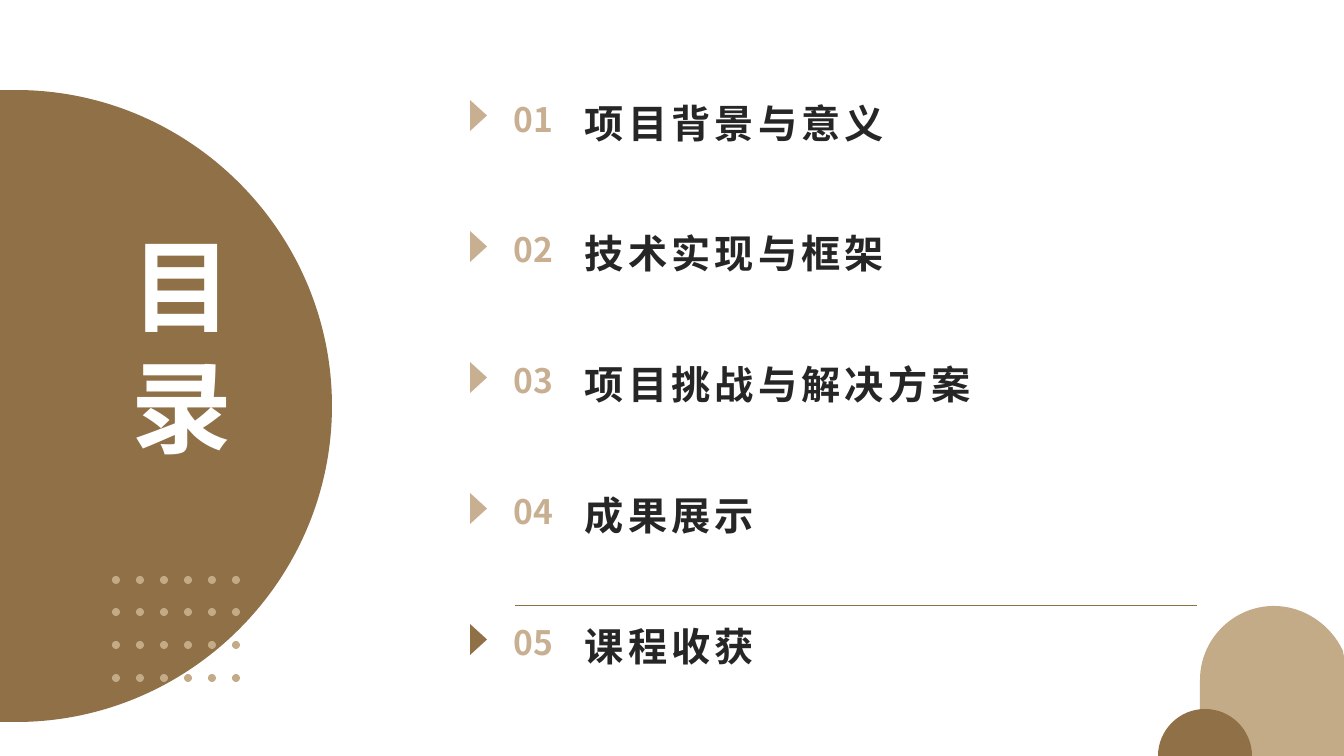
from lxml import etree
from pptx import Presentation
from pptx.dml.color import RGBColor
from pptx.enum.shapes import MSO_CONNECTOR, MSO_SHAPE
from pptx.enum.text import MSO_ANCHOR, PP_ALIGN
from pptx.oxml.ns import qn
from pptx.util import Emu, Pt

OVAL, TRIANGLE = MSO_SHAPE.OVAL, MSO_SHAPE.ISOSCELES_TRIANGLE
STRAIGHT = MSO_CONNECTOR.STRAIGHT
TOP, MIDDLE = MSO_ANCHOR.TOP, MSO_ANCHOR.MIDDLE
LEFT, CENTER, RIGHT = PP_ALIGN.LEFT, PP_ALIGN.CENTER, PP_ALIGN.RIGHT

WIDTH, HEIGHT = 1344, 756
ROUND = 0.55
BROWN, TAN, SAND, RULE = "907046", "C4AB87", "C8AF92", "8F7046"
WHITE, INK = "FFFFFF", "262626"
CJK, LATIN = "Noto Sans CJK SC", "Arial"
TOPICS = ["项目背景与意义", "技术实现与框架", "项目挑战与解决方案", "成果展示", "课程收获"]


def px(n):
    """Convert pixels to EMU."""
    return Emu(round(n * 914400 / 100.8))


def rgb(value):
    """Turn a hex string into a colour."""
    return RGBColor.from_string(value)


def paint(sp, color):
    """Give a shape a flat fill without line or shadow."""
    sp.shadow.inherit = False
    sp.fill.solid()
    sp.fill.fore_color.rgb = rgb(color)
    sp.line.fill.background()


def add_preset(slide, kind, x, y, w, h, color):
    """Add a flat preset shape."""
    sp = slide.shapes.add_shape(kind, px(x), px(y), px(w), px(h))
    paint(sp, color)
    return sp


def quarter(start, corner, end):
    """Return the curve of a quarter circle that rounds off a corner."""
    controls = [tuple(a + (c - a) * ROUND for a, c in zip(tip, corner)) for tip in (start, end)]
    return controls + [end]


def add_outline(slide, start, segments, color):
    """Add a flat closed outline; one point makes a line, three make a curve."""
    builder = slide.shapes.build_freeform(px(start[0]), px(start[1]), scale=1.0)
    builder.add_line_segments([(px(x), px(y)) for seg in segments for x, y in seg])
    sp = builder.convert_to_shape()
    route = sp._element.spPr.find(".//" + qn("a:path"))
    nodes = iter(route.findall(qn("a:lnTo")))
    for seg in segments:
        first, *rest = [next(nodes) for _ in seg]
        if rest:
            first.tag = qn("a:cubicBezTo")
        for node in rest:
            first.append(node[0])
            route.remove(node)
    paint(sp, color)


def add_text(slide, text, x, y, w, h, size, color, font=CJK, align=LEFT,
             anchor=TOP, wrap=True, tracking=0):
    """Add a bold one-paragraph text box without insets."""
    tf = slide.shapes.add_textbox(px(x), px(y), px(w), px(h)).text_frame
    tf.margin_left = tf.margin_top = tf.margin_right = tf.margin_bottom = 0
    tf.word_wrap, tf.vertical_anchor = wrap, anchor
    p = tf.paragraphs[0]
    p.text, p.alignment = text, align
    p.font.size, p.font.bold, p.font.name = Pt(size), True, font
    p.font.color.rgb = rgb(color)
    props = p._p.pPr.find(qn("a:defRPr"))
    props.set("spc", str(tracking))
    etree.SubElement(props, qn("a:ea")).set("typeface", font)


def add_title_panel(slide, x, y, r):
    """Draw the cropped disc with the title and the dot grid."""
    top, right, bottom = (x, y - r), (x + r, y), (x, y + r)
    add_outline(slide, top, [
        quarter(top, (x + r, y - r), right),
        quarter(right, (x + r, y + r), bottom),
        [(0, y + r)], [(0, y - r)], [top]], BROWN)
    for row in range(4):
        for col in range(6):
            add_preset(slide, OVAL, x + 96 + 24 * col, y + 170 + 98 * row // 3, 8, 8, TAN)
    add_text(slide, "目录", x + 76, y - 209, 140, 296, 72, WHITE, LATIN, RIGHT, MIDDLE)


def add_corner(slide, x, y):
    """Draw the arch and the half disc at the bottom right."""
    crown, shoulder = (x + 116, y), (x + 42, y + 74)
    add_outline(slide, crown, [
        [(x + 146, y), (x + 173, y + 19), (x + 185, y + 45)],
        [(WIDTH, y + 51)], [(WIDTH, HEIGHT)], [(x + 42, HEIGHT)], [shoulder],
        quarter(shoulder, (x + 42, y), crown)], TAN)
    left, top, right = (x, HEIGHT), (x + 47, HEIGHT - 47), (x + 94, HEIGHT)
    add_outline(slide, left, [
        quarter(left, (x, HEIGHT - 47), top),
        quarter(top, (x + 94, HEIGHT - 47), right), [left]], BROWN)


def add_rule(slide, x, y, w):
    """Draw the thin horizontal rule."""
    line = slide.shapes.add_connector(STRAIGHT, px(x), px(y), px(x + w), px(y))
    line.line.color.rgb = rgb(RULE)
    line.line.width = Pt(0.5)
    etree.SubElement(line._element.spPr, qn("a:effectLst"))


def add_marker(slide, x, y, color):
    """Place a triangle that points right."""
    sp = add_preset(slide, TRIANGLE, x - 7, y + 7, 31, 17, color)
    sp.rotation = 90


def add_entry(slide, x, y, number, topic):
    """Place the number and the topic of one agenda row."""
    add_text(slide, f"{number:02}", x, y, 73, 108, 24, SAND, align=CENTER, wrap=False)
    add_text(slide, topic, x + 88, y, 464, 108, 28, INK, tracking=300)


def add_agenda(slide, x, y):
    """Stack the agenda rows, the last one with a darker marker."""
    for i, topic in enumerate(TOPICS):
        add_marker(slide, x, y + 1 + 131 * i, BROWN if i == len(TOPICS) - 1 else SAND)
        add_entry(slide, x + 27, y + 523 * i // 4, i + 1, topic)


def main():
    """Build the contents slide."""
    prs = Presentation()
    prs.slide_width, prs.slide_height = px(WIDTH), px(HEIGHT)
    slide = prs.slides.add_slide(prs.slide_layouts[6])
    add_title_panel(slide, 16, 406, 316)
    add_corner(slide, 1158, 606)
    add_rule(slide, 515, 605, 682)
    add_agenda(slide, 470, 99)
    prs.save("out.pptx")


if __name__ == "__main__":
    main()
